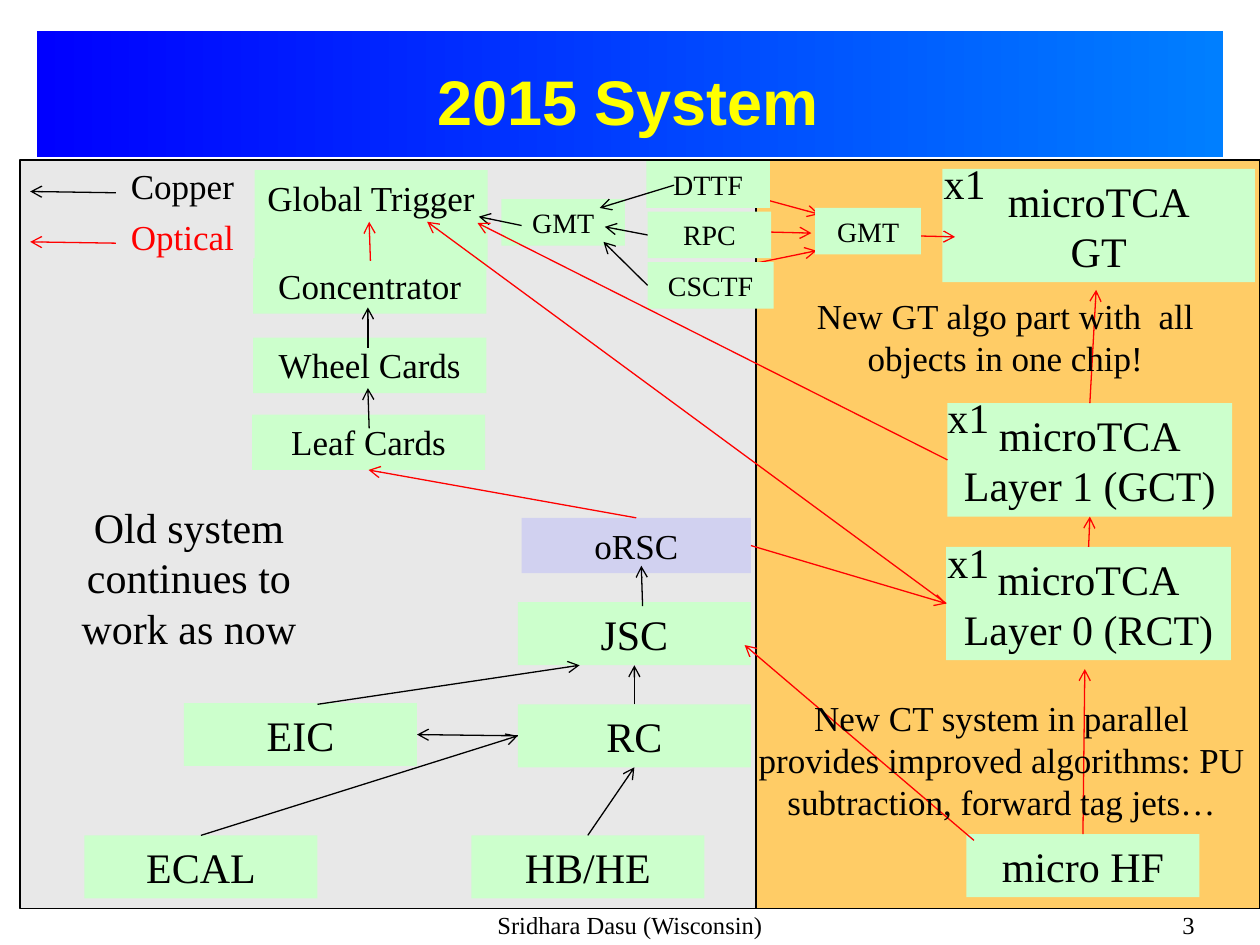
from lxml.etree import SubElement
from pptx import Presentation
from pptx.dml.color import RGBColor
from pptx.enum.dml import MSO_THEME_COLOR
from pptx.enum.shapes import MSO_CONNECTOR, MSO_SHAPE
from pptx.enum.text import MSO_ANCHOR, PP_ALIGN
from pptx.oxml.ns import qn
from pptx.util import Inches, Pt

BLACK = RGBColor(0x00, 0x00, 0x00)
RED = RGBColor(0xFF, 0x00, 0x00)
YELLOW = RGBColor(0xFF, 0xFF, 0x00)
GREEN = RGBColor(0xCC, 0xFF, 0xCC)
LAVENDER = RGBColor(0xD1, 0xD1, 0xF0)
ORANGE = RGBColor(0xFF, 0xCC, 0x66)
GREY = RGBColor(0xE8, 0xE8, 0xE8)
BANNER_LEFT = RGBColor(0x00, 0x00, 0xFF)
BANNER_RIGHT = RGBColor(0x00, 0x7F, 0xFF)

SERIF = "Times New Roman"
LEFT, CENTER, RIGHT = PP_ALIGN.LEFT, PP_ALIGN.CENTER, PP_ALIGN.RIGHT
TOP_SIDE, LEFT_SIDE, BOTTOM_SIDE, RIGHT_SIDE = range(4)

PANELS = [((6, 1.27, 4, 5.94), ORANGE), ((0.16, 1.27, 5.84, 5.94), GREY)]

# Box styles: width, height, text size
LARGE = (1.85, 0.5, 24)
MEDIUM = (1.85, 0.44, 20)
SMALL = (0.98, 0.37, 16)
LAYER = (2.26, 0.9, 24)

# name: (left, top, style, lines of text)
SYSTEM_BOXES = {
    "ecal": (0.67, 6.63, LARGE, ["ECAL"]),
    "hcal": (3.74, 6.63, LARGE, ["HB/HE"]),
    "micro hf": (7.67, 6.62, LARGE, ["micro HF"]),
    "eic": (1.46, 5.58, LARGE, ["EIC"]),
    "jsc": (4.11, 4.78, LARGE, ["JSC"]),
    "rc": (4.11, 5.59, LARGE, ["RC"]),
    "orsc": (4.14, 4.11, (1.82, 0.44, 20), ["oRSC"]),
    "leaf": (2, 3.29, MEDIUM, ["Leaf Cards"]),
    "wheel": (2.01, 2.68, MEDIUM, ["Wheel Cards"]),
    "concentrator": (2.01, 2.05, MEDIUM, ["Concentrator"]),
    "global trigger": (2.02, 1.35, (1.85, 0.77, 20), ["Global Trigger"]),
    "old gmt": (3.98, 1.58, SMALL, ["GMT"]),
    "new gt": (7.48, 1.34, (2.48, 0.9, 24), ["microTCA", "GT"]),
    "layer 0": (7.51, 4.34, LAYER, ["microTCA", "Layer 0 (RCT)"]),
    "layer 1": (7.52, 3.2, LAYER, ["microTCA", "Layer 1 (GCT)"]),
}
MUON_BOXES = {
    "dttf": (5.13, 1.28, SMALL, ["DTTF"]),
    "rpc": (5.14, 1.68, SMALL, ["RPC"]),
    "csctf": (5.14, 2.08, (1, 0.37, 16), ["CSCTF"]),
    "new gmt": (6.47, 1.65, (0.84, 0.37, 16), ["GMT"]),
}

# Arrow ends are a point, or a (box name, side) to join.
# These start behind the muon boxes.
MUON_FEEDS = [
    ((5.65, 2.16), (6.48, 1.99), RED),
    ((5.62, 1.46), (6.5, 1.7), RED),
    ((5.63, 1.83), (6.44, 1.85), RED),
    ((6.76, 1.86), (7.58, 1.88), RED),
]
ARROWS = [
    (("ecal", TOP_SIDE), ("rc", LEFT_SIDE), BLACK),
    (("hcal", TOP_SIDE), ("rc", BOTTOM_SIDE), BLACK),
    (("rc", LEFT_SIDE), ("eic", RIGHT_SIDE), BLACK),
    (("rc", TOP_SIDE), ("jsc", BOTTOM_SIDE), BLACK),
    ((2.52, 5.59), (4.6, 5.28), BLACK),
    ((5.1, 4.81), (5.09, 4.49), BLACK),
    (("orsc", TOP_SIDE), ("leaf", BOTTOM_SIDE), RED),
    ((2.93, 3.4), (2.92, 3.08), BLACK),
    ((2.92, 2.76), (2.92, 2.44), BLACK),
    ((2.94, 2.07), (2.93, 1.76), RED),
    ((5.35, 1.47), (4.76, 1.65), BLACK),
    (("rpc", LEFT_SIDE), (4.8, 1.8), BLACK),
    (("csctf", LEFT_SIDE), (4.79, 1.92), BLACK),
    ((4.14, 1.79), (3.8, 1.72), BLACK),
    (("orsc", RIGHT_SIDE), ("layer 0", LEFT_SIDE), RED),
    (("layer 0", LEFT_SIDE), (3.39, 1.76), RED),
    (("layer 0", TOP_SIDE), ("layer 1", BOTTOM_SIDE), RED),
    (("layer 1", LEFT_SIDE), (3.79, 1.77), RED),
    (("layer 1", TOP_SIDE), (8.7, 2.3), RED),
    (("micro hf", TOP_SIDE), (8.61, 5.31), RED),
    ((7.73, 6.67), (5.91, 5.12), RED),
]

# (left, top, width, height), text, size, alignment
LABELS = [
    ((7.39, 1.2, 0.63, 0.5), "x1", 24, LEFT),
    ((7.42, 3.06, 0.58, 0.5), "x1", 24, LEFT),
    ((7.42, 4.21, 0.58, 0.5), "x1", 24, LEFT),
    ((0.22, 3.93, 2.56, 1.3), "Old system continues to work as now", 24, CENTER),
    ((6.05, 2.29, 3.86, 0.77), "New GT algo part with  all objects in one chip!", 20, CENTER),
    ((5.91, 5.48, 4.08, 1.1), "New CT system in parallel provides improved algorithms: "
     "PU subtraction, forward tag jets…", 20, CENTER),
    ((2.71, 7.17, 4.58, 0.33), "Sridhara Dasu (Wisconsin)", 14, CENTER),
    ((7.5, 7.17, 2.08, 0.33), "3", 14, RIGHT),
]
LEGEND = [("Copper", BLACK), ("Optical", RED)]
LEGEND_TOP, LEGEND_STEP = 1.26, 0.4


def write(shape, lines, size, align=CENTER, color=BLACK, font=SERIF,
          bold=False, anchor=MSO_ANCHOR.TOP):
    frame = shape.text_frame
    frame.word_wrap = True
    frame.vertical_anchor = anchor
    for index, line in enumerate(lines):
        para = frame.add_paragraph() if index else frame.paragraphs[0]
        para.alignment = align
        run = para.add_run()
        run.text = line
        run.font.name = font
        run.font.size = Pt(size)
        run.font.bold = bold
        run.font.color.rgb = color


def add_rectangle(page, place, fill=None):
    box = page.shapes.add_shape(MSO_SHAPE.RECTANGLE, *map(Inches, place))
    box.shadow.inherit = False
    box.line.fill.background()
    if fill is not None:
        box.fill.solid()
        box.fill.fore_color.rgb = fill
    return box


def add_label(page, place, text, size, align, **style):
    box = page.shapes.add_textbox(*map(Inches, place))
    write(box, [text], size, align, **style)


def add_boxes(page, boxes, placed):
    for name, (left, top, (width, height, size), lines) in boxes.items():
        fill = LAVENDER if name == "orsc" else GREEN
        placed[name] = add_rectangle(page, (left, top, width, height), fill)
        write(placed[name], lines, size)


def add_arrow(page, start, end, color, placed):
    joined = [isinstance(point[0], str) for point in (start, end)]
    points = [(0, 0) if join else point for join, point in zip(joined, (start, end))]
    arrow = page.shapes.add_connector(
        MSO_CONNECTOR.STRAIGHT, *(Inches(value) for point in points for value in point))
    if joined[0]:
        arrow.begin_connect(placed[start[0]], start[1])
    if joined[1]:
        arrow.end_connect(placed[end[0]], end[1])
    arrow.line.color.rgb = color
    arrow.line.width = Pt(0.75)
    SubElement(arrow.line._get_or_add_ln(), qn("a:tailEnd"), type="arrow")
    SubElement(arrow._element.spPr, qn("a:effectLst"))


def add_banner(page):
    banner = add_rectangle(page, (0.29, 0.25, 9.42, 1))
    banner.fill.gradient()
    banner.fill.gradient_angle = 0
    for stop, color in zip(banner.fill.gradient_stops, (BANNER_LEFT, BANNER_RIGHT)):
        stop.color.theme_color = MSO_THEME_COLOR.ACCENT_1  # drops the preset tints
        stop.color.rgb = color
    add_label(page, (1.29, 0.42, 7.39, 0.75), "2015 System", 36, CENTER, color=YELLOW,
              font="Arial", bold=True, anchor=MSO_ANCHOR.MIDDLE)


def main():
    deck = Presentation()
    deck.slide_width, deck.slide_height = Inches(10), Inches(7.5)
    page = deck.slides.add_slide(deck.slide_layouts[6])
    add_banner(page)
    for place, fill in PANELS:
        panel = add_rectangle(page, place, fill)
        panel.line.color.rgb = BLACK
        panel.line.width = Pt(0.75)

    placed = {}
    add_boxes(page, SYSTEM_BOXES, placed)
    for start, end, color in MUON_FEEDS:
        add_arrow(page, start, end, color, placed)
    add_boxes(page, MUON_BOXES, placed)
    for start, end, color in ARROWS:
        add_arrow(page, start, end, color, placed)
    for label in LABELS:
        add_label(page, *label)
    for row, (text, color) in enumerate(LEGEND):
        top = LEGEND_TOP + row * LEGEND_STEP
        add_arrow(page, (0.92, top + 0.27), (0.24, top + 0.26), color, placed)
        add_label(page, (0.94, top, 1.1, 0.44), text, 20, LEFT, color=color)
    deck.save("out.pptx")


if __name__ == "__main__":
    main()
